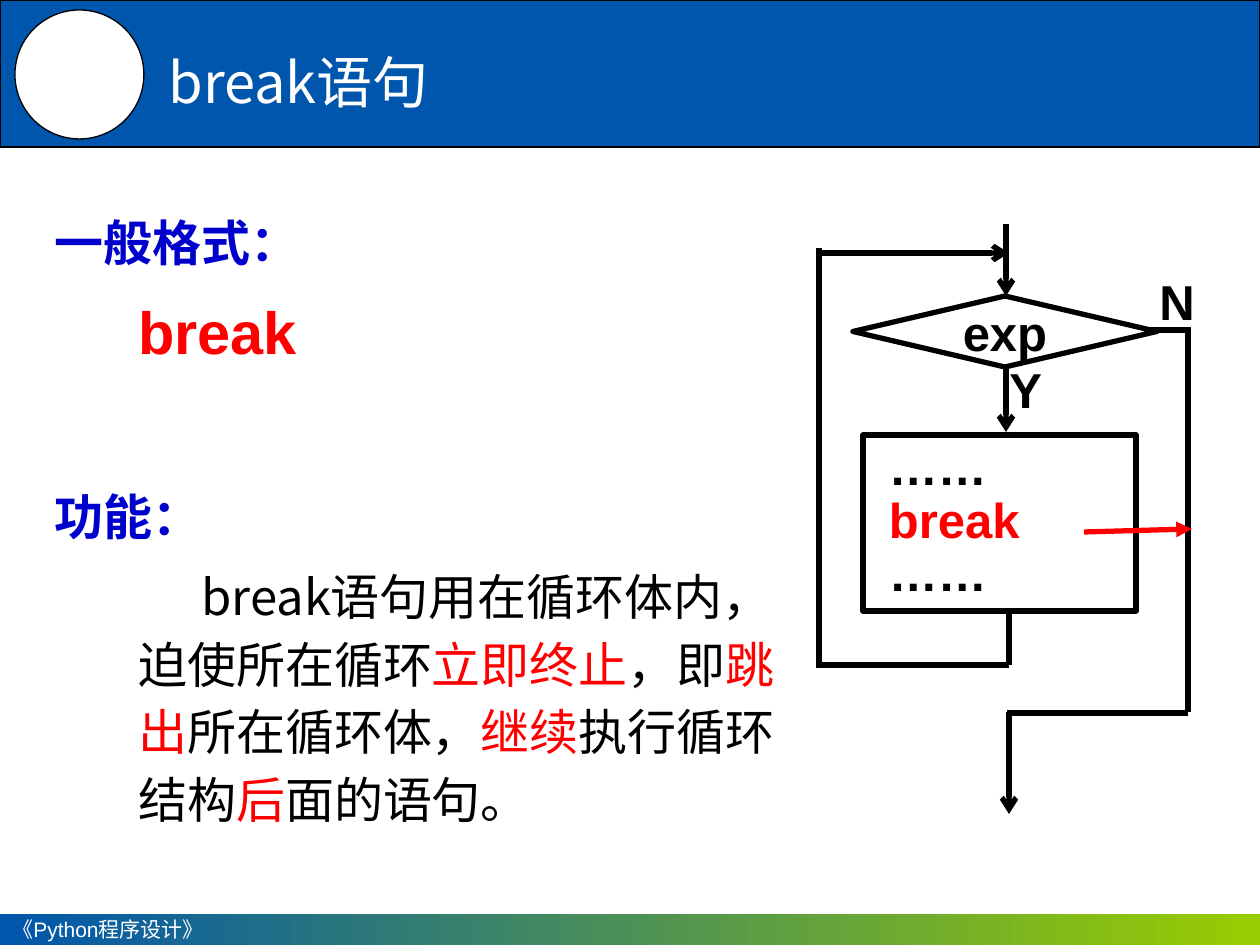
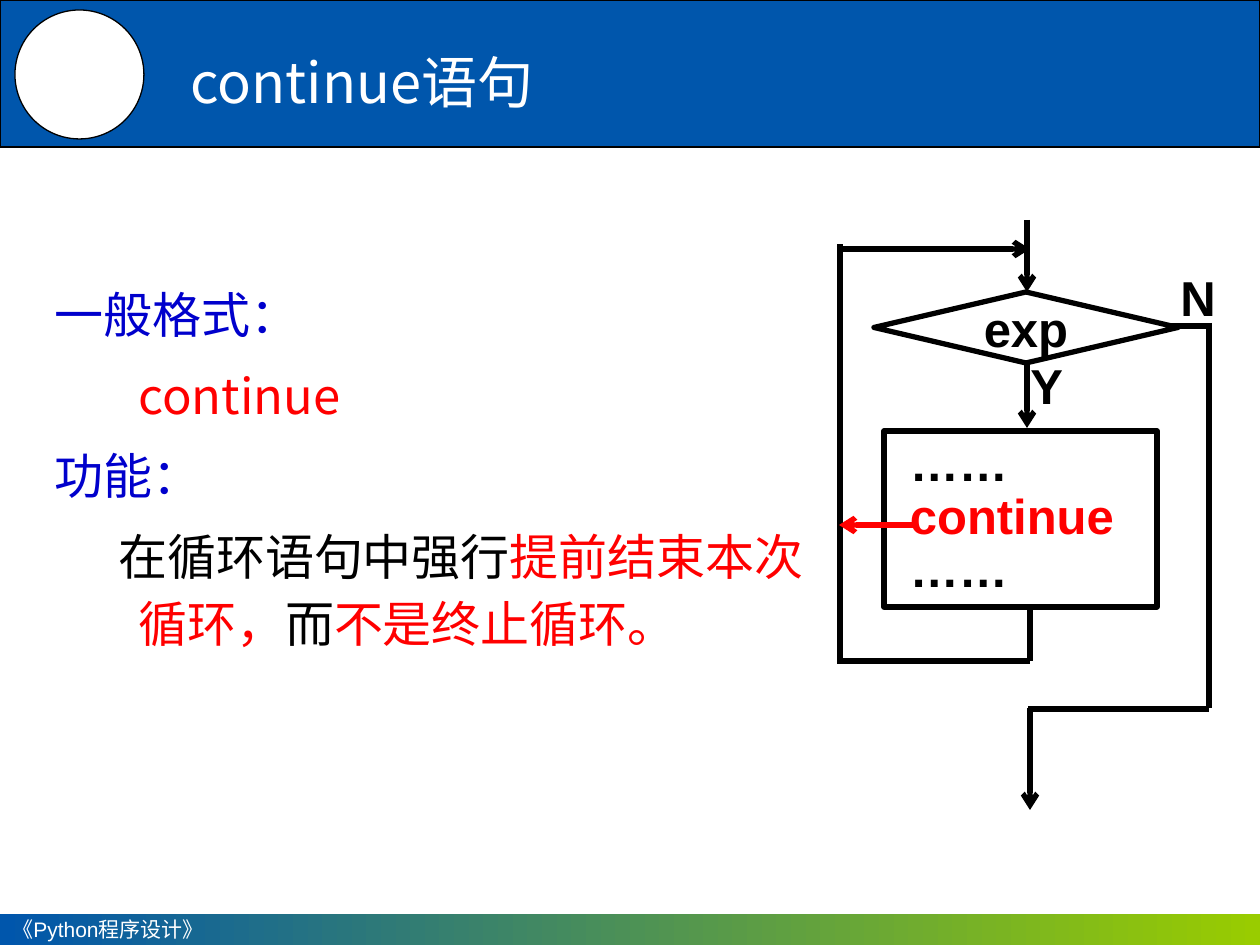
from dataclasses import dataclass
from typing import Optional

from lxml.etree import SubElement
from pptx import Presentation
from pptx.dml.color import RGBColor
from pptx.enum.shapes import MSO_CONNECTOR, MSO_SHAPE
from pptx.enum.text import MSO_ANCHOR, PP_ALIGN
from pptx.oxml.ns import qn
from pptx.util import Emu, Pt

EMU_PER_PX = 914400 / 126
PAGE_WIDTH, PAGE_HEIGHT = 1260, 945
COLORS = {
    "band": "0056AC",
    "lime": "99CC00",
    "heading": "0000CC",
    "accent": "FF0000",
    "ink": "000000",
    "paper": "FFFFFF",
}
LATIN, CHINESE = "Arial", "Noto Sans CJK SC"
BODY_LINE = Pt(38.5)
BODY_GAP = 7.5
HANGING = 84


@dataclass(frozen=True)
class Span:
    text: str
    color: str = "ink"
    size: int = 28
    font: str = CHINESE
    bold: bool = False


@dataclass(frozen=True)
class Para:
    spans: tuple[Span, ...]
    left: int = 0
    indent: int = 0
    before: float = 0
    line: object = None
    align: PP_ALIGN = PP_ALIGN.LEFT


@dataclass(frozen=True)
class Box:
    left: int
    top: int
    width: int
    height: int

    def moved(self, dx: int, dy: int) -> "Box":
        return Box(self.left + dx, self.top + dy, self.width, self.height)

    def emu(self) -> tuple[Emu, ...]:
        return tuple(px(v) for v in (self.left, self.top, self.width, self.height))


@dataclass(frozen=True)
class Line:
    x1: int
    y1: int
    x2: int
    y2: int
    arrow: Optional[str] = None
    color: str = "ink"

    def moved(self, dx: int, dy: int) -> "Line":
        return Line(self.x1 + dx, self.y1 + dy, self.x2 + dx, self.y2 + dy,
                    self.arrow, self.color)


@dataclass(frozen=True)
class Lesson:
    title: str
    title_left: int
    body_box: Box
    body: tuple[Para, ...]
    keyword: str
    chart_shift: tuple[int, int]
    jump: Line


def px(length: float) -> Emu:
    return Emu(round(length * EMU_PER_PX))


def rgb(name: str) -> RGBColor:
    return RGBColor.from_string(COLORS[name])


def write(shape, paras: tuple[Para, ...], anchor=MSO_ANCHOR.MIDDLE,
          wrap: bool = True) -> None:
    frame = shape.text_frame
    frame.word_wrap = wrap
    frame.vertical_anchor = anchor
    for number, para in enumerate(paras):
        target = frame.add_paragraph() if number else frame.paragraphs[0]
        target.alignment = para.align
        if para.line is not None:
            target.line_spacing = para.line
        if para.before:
            target.space_before = Pt(para.before)
        if para.left or para.indent:
            properties = target._p.get_or_add_pPr()
            properties.set("marL", str(px(para.left)))
            properties.set("indent", str(px(para.indent)))
        for span in para.spans:
            run = target.add_run()
            run.text = span.text
            run.font.size = Pt(span.size)
            run.font.bold = span.bold
            run.font.color.rgb = rgb(span.color)
            run.font.name = span.font
            east_asian = SubElement(run._r.get_or_add_rPr(), qn("a:ea"))
            east_asian.set("typeface", span.font)


def add_text(page, box: Box, *paras: Para, anchor=MSO_ANCHOR.MIDDLE,
             wrap: bool = True) -> None:
    write(page.shapes.add_textbox(*box.emu()), paras, anchor, wrap)


def add_figure(page, kind: MSO_SHAPE, box: Box, fill: Optional[str] = None,
               line_width: float = 0):
    shape = page.shapes.add_shape(kind, *box.emu())
    shape.shadow.inherit = False
    if fill:
        shape.fill.solid()
        shape.fill.fore_color.rgb = rgb(fill)
    else:
        shape.fill.background()
    if line_width:
        shape.line.color.rgb = rgb("ink")
        shape.line.width = Pt(line_width)
    else:
        shape.line.fill.background()
    return shape


def add_line(page, line: Line) -> None:
    connector = page.shapes.add_connector(
        MSO_CONNECTOR.STRAIGHT, px(line.x1), px(line.y1), px(line.x2), px(line.y2))
    connector.line.color.rgb = rgb(line.color)
    connector.line.width = Pt(3)
    if line.arrow:
        end = SubElement(connector.line._get_or_add_ln(), qn("a:tailEnd"))
        end.set("type", line.arrow)
    SubElement(connector._element.spPr, qn("a:effectLst"))


def add_frame(page, title: str, title_left: int) -> None:
    """Top band with badge and title, and the footer strip."""
    add_figure(page, MSO_SHAPE.RECTANGLE, Box(0, 0, PAGE_WIDTH, 147), "band", 0.75)
    footer = add_figure(page, MSO_SHAPE.RECTANGLE, Box(0, 914, PAGE_WIDTH, 31))
    footer.fill.gradient()
    footer.fill.gradient_angle = 0
    for stop, color, position in zip(footer.fill.gradient_stops, ("band", "lime"), (0, 1)):
        stop.color.rgb = rgb(color)
        stop.position = position
    write(footer, (Para((Span("《Python程序设计》", "paper", 12, LATIN),)),))
    add_figure(page, MSO_SHAPE.OVAL, Box(15, 10, 129, 129), "paper", 0.75)
    add_text(page, Box(title_left, 34, 936, 95), Para((Span(title, "paper", 32),)))


# Flowchart lines shared by both lessons
FLOW_LINES = (
    Line(1006, 224, 1006, 296, "arrow"),   # entry
    Line(1006, 368, 1006, 432, "arrow"),   # condition true
    Line(1009, 609, 1009, 665),            # loop back
    Line(1009, 665, 816, 665),
    Line(819, 668, 819, 248),
    Line(816, 253, 1009, 253, "arrow"),
    Line(1147, 330, 1188, 330),            # condition false
    Line(1188, 327, 1188, 712),
    Line(1188, 713, 1007, 713),
    Line(1009, 712, 1009, 814, "arrow"),   # exit
)


def label(text: str, color: str = "ink", align=PP_ALIGN.LEFT, line=None) -> Para:
    return Para((Span(text, color, font=LATIN, bold=True),), align=align, line=line)


def add_flowchart(page, lesson: Lesson) -> None:
    shift = lesson.chart_shift
    process = add_figure(page, MSO_SHAPE.RECTANGLE,
                         Box(863, 435, 273, 176).moved(*shift), line_width=3)
    process.text_frame.margin_left = px(26)
    process.text_frame.margin_right = 0
    write(process, (label("……", line=0.9),
                    label(lesson.keyword, "accent", line=0.9),
                    label("……", line=0.9)))
    for line in FLOW_LINES:
        add_line(page, line.moved(*shift))
    decision = add_figure(page, MSO_SHAPE.FLOWCHART_DECISION,
                          Box(853, 296, 304, 71).moved(*shift), line_width=3)
    write(decision, (label("exp", align=PP_ALIGN.CENTER),), wrap=False)
    add_text(page, Box(1147, 265, 60, 72).moved(*shift),
             label("N", align=PP_ALIGN.CENTER), wrap=False)
    add_text(page, Box(997, 353, 60, 72).moved(*shift), label("Y"))
    add_line(page, lesson.jump)


def heading(text: str, bold: bool, before: float = 0) -> Para:
    return Para((Span(text, "heading", bold=bold),), before=before, line=BODY_LINE)


def body(*spans: Span, indent: int = 0) -> Para:
    return Para(spans, HANGING, indent, BODY_GAP, BODY_LINE)


LESSONS = (
    Lesson(
        "break语句", 156, Box(42, 198, 750, 700),
        (
            heading("一般格式：", True),
            Para((Span("break", "accent", 34, LATIN, True),),
                 HANGING, 0, BODY_GAP, 1.15),
            heading("功能：", True, before=63.5),
            body(
                Span("break语句用在循环体内，迫使所在循环"),
                Span("立即终止", "accent"),
                Span("，即"),
                Span("跳出", "accent"),
                Span("所在循环体，"),
                Span("继续", "accent"),
                Span("执行循环结构"),
                Span("后", "accent"),
                Span("面的语句。"),
                indent=63,
            ),
        ),
        "break", (0, 0), Line(1084, 532, 1192, 529, "triangle", "accent"),
    ),
    Lesson(
        "continue语句", 178, Box(42, 270, 780, 394),
        (
            heading("一般格式：", False),
            body(Span("continue", "accent")),
            heading("功能：", False, BODY_GAP),
            body(
                Span("在循环语句中强行"),
                Span("提前结束本次循环，", "accent"),
                Span("而"),
                Span("不是终止循环。", "accent"),
                indent=-20,
            ),
        ),
        "continue", (21, -4), Line(917, 525, 839, 525, "arrow", "accent"),
    ),
)


def main() -> None:
    deck = Presentation()
    deck.slide_width, deck.slide_height = px(PAGE_WIDTH), px(PAGE_HEIGHT)
    for lesson in LESSONS:
        page = deck.slides.add_slide(deck.slide_layouts[6])
        add_frame(page, lesson.title, lesson.title_left)
        add_text(page, lesson.body_box, *lesson.body, anchor=MSO_ANCHOR.TOP)
        add_flowchart(page, lesson)
    deck.save("out.pptx")


if __name__ == "__main__":
    main()
